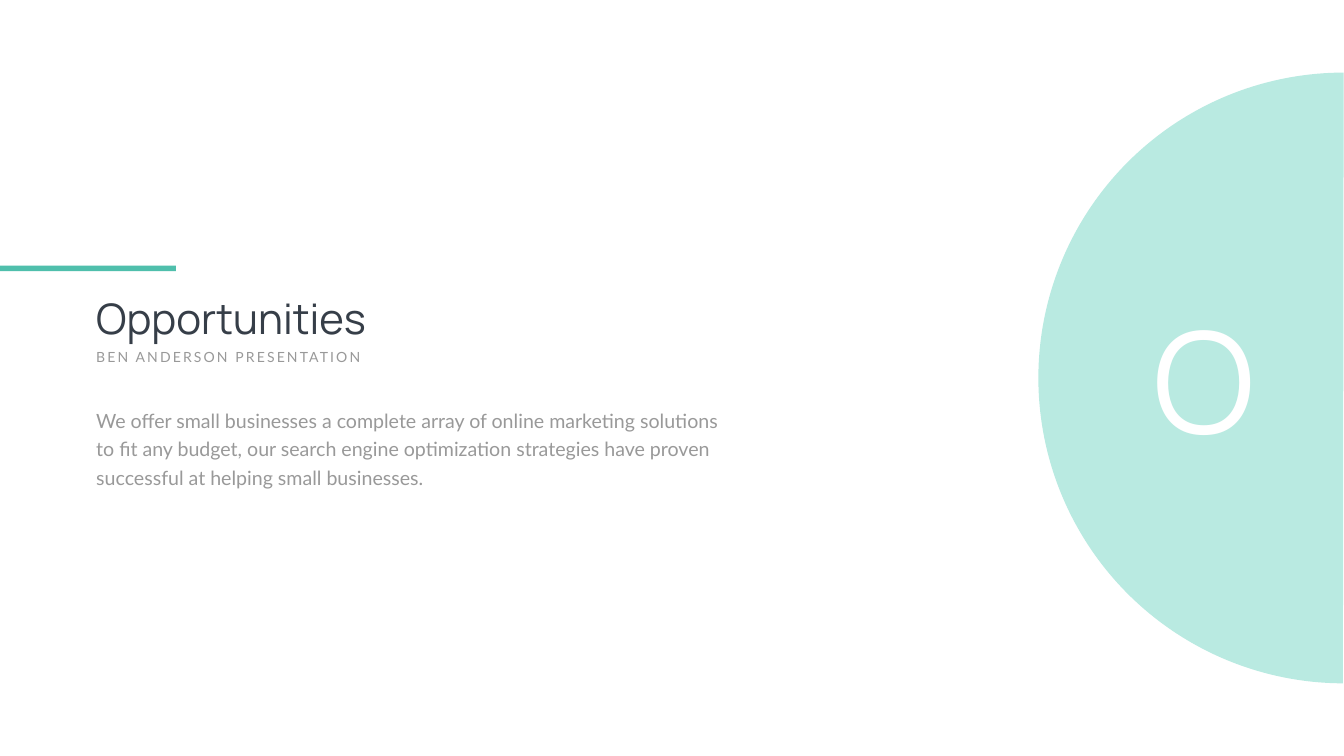
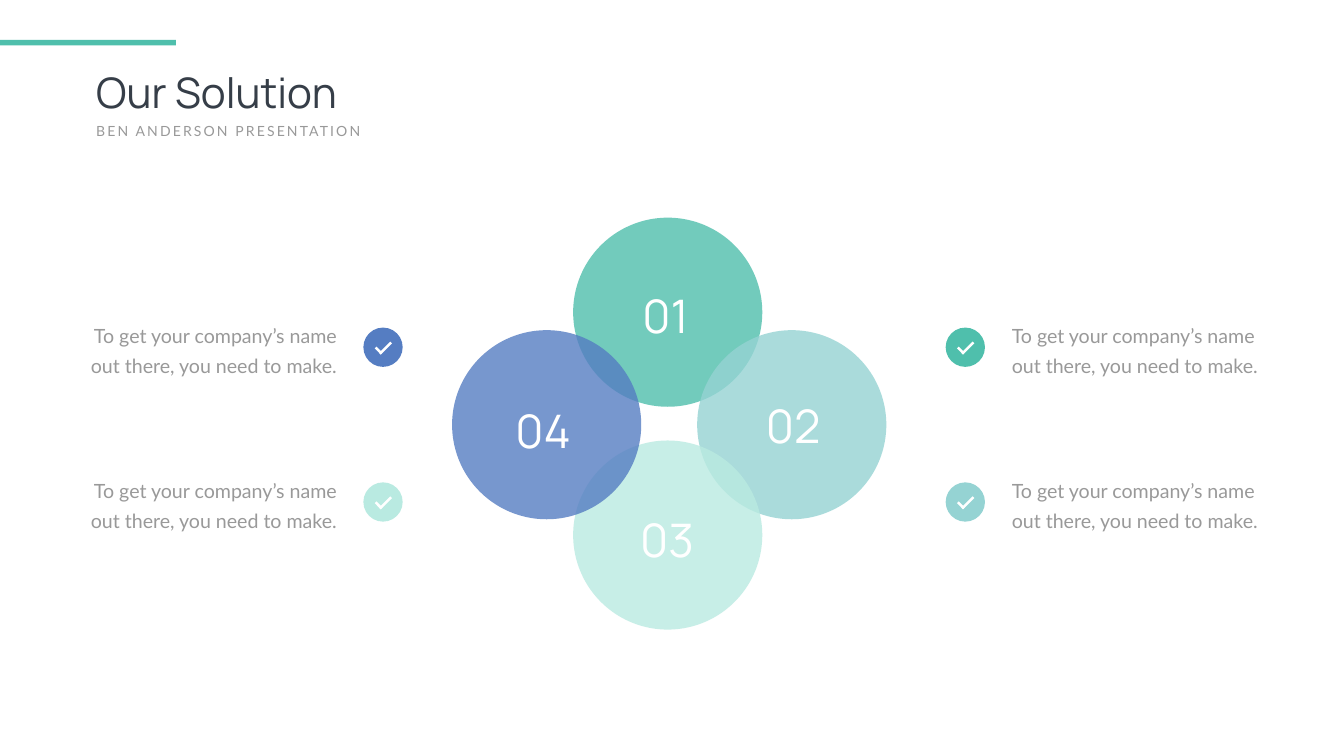
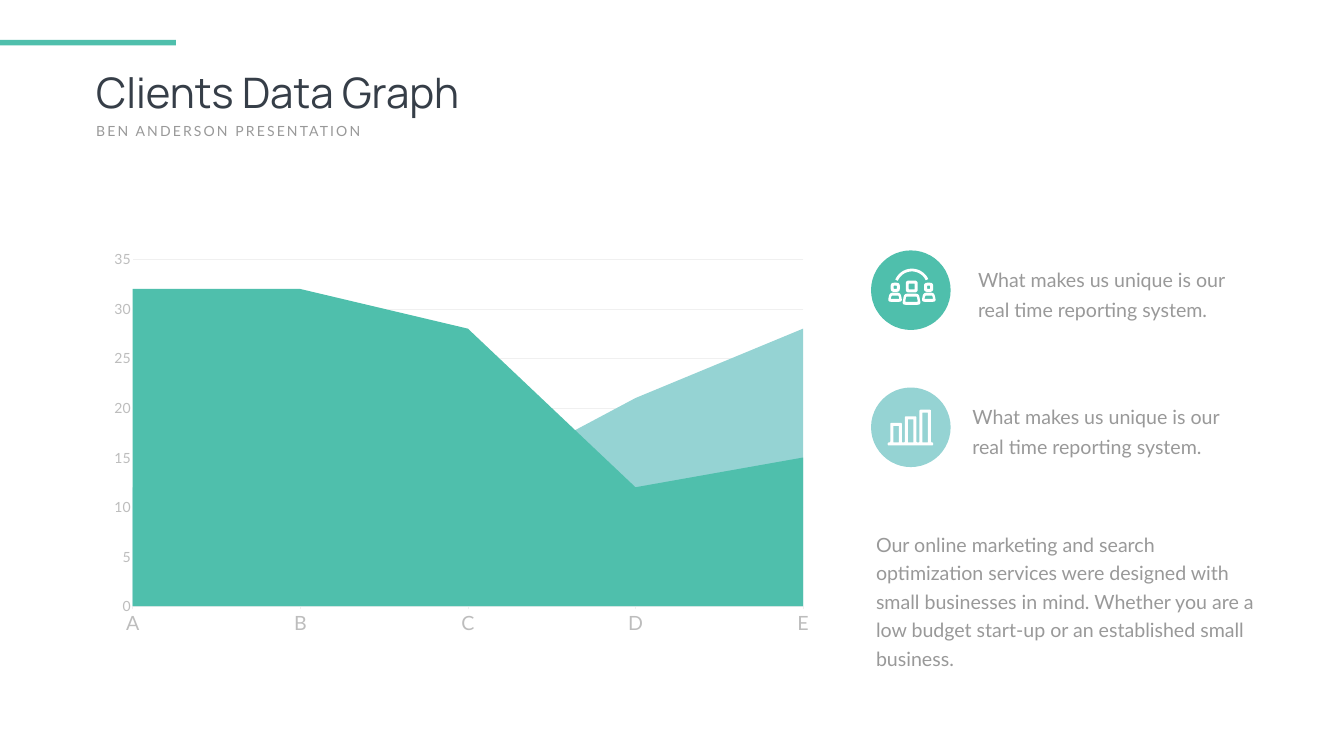
from dataclasses import dataclass
from math import cos, hypot, radians, sin
from lxml.etree import SubElement
from pptx import Presentation
from pptx.chart.data import CategoryChartData
from pptx.dml.color import RGBColor
from pptx.enum.chart import XL_CHART_TYPE, XL_TICK_MARK
from pptx.enum.shapes import MSO_SHAPE
from pptx.enum.text import MSO_AUTO_SIZE, PP_ALIGN
from pptx.oxml import parse_xml
from pptx.oxml.ns import nsdecls, qn
from pptx.util import Cm, Pt


@dataclass(frozen=True)
class Theme:
    green: str = "4FBFAC"
    teal: str = "95D3D3"
    mint: str = "B9EAE1"
    blue: str = "557DC2"
    white: str = "FFFFFF"
    dark: str = "363E48"
    gray: str = "999999"
    pale: str = "BDBDBD"
    grid: str = "F0F0F0"
    head: str = "Manrope"
    body: str = "Lato"
    giant: int = 200
    number: int = 66
    title: int = 60
    text: int = 28
    small: int = 20
    loose: float = 43
    tight: float = 40.8


T = Theme()
MAKE = "To get your company’s name out there, you need to make."
UNIQUE = "What makes us unique is our real time reporting system."


def rgb(code):
    return RGBColor.from_string(code)


def style(font, size, color, face):
    font.size, font.name = Pt(size), face
    font.color.rgb = rgb(color)


def paint(shape, color, alpha=None):
    shape.shadow.inherit = False
    shape.fill.solid()
    shape.fill.fore_color.rgb = rgb(color)
    shape.line.fill.background()
    if alpha:
        tone = shape.fill._xPr.find(".//" + qn("a:srgbClr"))
        SubElement(tone, qn("a:alpha")).set("val", str(alpha * 1000))
    return shape


def solid(slide, kind, box, color, alpha=None):
    return paint(slide.shapes.add_shape(kind, *map(Cm, box)), color, alpha)


def write(slide, box, words, size, color=T.gray, face=T.body,
          align=PP_ALIGN.LEFT, lead=None, track=None, pad=None):
    frame = slide.shapes.add_textbox(*map(Cm, box)).text_frame
    frame.word_wrap = True
    frame.auto_size = MSO_AUTO_SIZE.SHAPE_TO_FIT_TEXT
    if pad:
        frame.margin_left = frame.margin_right = Cm(pad[0])
        frame.margin_top = frame.margin_bottom = Cm(pad[1])
    para = frame.paragraphs[0]
    run = para.add_run()
    run.text = words
    para.alignment = align
    if lead:
        para.line_spacing = Pt(lead)
    style(para.font, size, color, face)
    if track:
        run._r.get_or_add_rPr().set("spc", str(track * 100))


def note(slide, box, words, align=PP_ALIGN.LEFT):
    write(slide, box, words, T.text, align=align, lead=T.loose, pad=(0.61, 0.3))


def header(slide, top, title, width):
    solid(slide, MSO_SHAPE.RECTANGLE, (0, top, 8.86, 0.28), T.green)
    write(slide, (4.6, top + 1.24, width, 2.82), title, T.title, T.dark, T.head)
    write(slide, (4.6, top + 4.06, 14.86, 1.12), "BEN ANDERSON PRESENTATION",
          T.small, track=3)


def smooth(points, bend):
    if not bend:
        return points
    out = []
    for i, (x, y) in enumerate(points):
        ends = []
        for px, py in (points[i - 1], points[(i + 1) % len(points)]):
            part = min(0.5, bend / hypot(px - x, py - y))
            ends.append((x + (px - x) * part, y + (py - y) * part))
        (ax, ay), (bx, by) = ends
        for step in range(5):
            t = step / 4
            a, b, c = (1 - t) ** 2, 2 * t * (1 - t), t * t
            out.append((a * ax + b * x + c * bx, a * ay + b * y + c * by))
    return out


def outline(slide, left, top, loops):
    build = None
    for loop in loops:
        spots = [(Cm(left + x), Cm(top + y)) for x, y in loop]
        if build is None:
            build = slide.shapes.build_freeform(*spots[0])
        else:
            build.move_to(*spots[0])
        build.add_line_segments(spots[1:], close=True)
    paint(build.convert_to_shape(), T.white)


def frame(x, y, w, h, slant=0, edge=0.15):
    def quad(x, y, w, h, s):
        return [(x + s, y), (x + w - s, y), (x + w, y + h), (x, y + h)]
    inner = quad(x + edge, y + edge, w - 2 * edge, h - 2 * edge, slant / 2)
    return [smooth(quad(x, y, w, h, slant), 0.16), smooth(inner, 0.03)]


def people(slide, left, top):
    for x, y, side in ((1.75, 1.52, 0.6), (0.99, 1.63, 0.46), (2.67, 1.63, 0.46)):
        outline(slide, left, top, frame(x, y, side, side))
    for x, y, w, h in ((1.57, 2.18, 0.94, 0.56), (0.84, 2.13, 0.74, 0.46),
                       (2.54, 2.13, 0.74, 0.46)):
        outline(slide, left, top, frame(x, y, w, h, 0.1))
    turns = [radians(a) for a in range(203, 338, 4)]
    arc = [(2.06 + r * cos(a), 1.83 + r * sin(a))
           for r, row in ((0.91, turns), (0.77, turns[::-1])) for a in row]
    outline(slide, left, top, [arc])


def bars(slide, left, top):
    base, wide, edge = 2.77, 0.58, 0.15
    rim, holes = [(0.84, base + edge), (0.84, base)], []
    for i in range(3):
        x, y = 0.97 + 0.735 * i, 1.78 - 0.33 * i
        rim += [(x, base), (x, y), (x + wide, y), (x + wide, base)]
        a, b, c = x + edge, x + wide - edge, y + edge
        holes.append([(a, c), (b, c), (b, base), (a, base)])
    rim += [(3.13, base), (3.13, base + edge)]
    outline(slide, left, top, [smooth(rim, 0.06)] + holes)


def check(slide, left, top, color):
    solid(slide, MSO_SHAPE.OVAL, (left, top, 1.98, 1.98), color)
    for x, y, wide, turn in ((0.55, 1.09, 0.43, 45), (0.71, 0.97, 0.81, 315)):
        bar = solid(slide, MSO_SHAPE.RECTANGLE,
                    (left + x, top + y, wide, 0.13), T.white)
        bar.rotation = turn


def petals(slide, left, top):
    size = 9.53
    spots = (("01", 6.1, 0, T.green, 2.13, 3.41),
             ("02", 12.35, 5.67, T.teal, 2.31, 3.25),
             ("03", 6.1, 11.23, T.mint, 2.21, 3.43),
             ("04", 0, 5.67, T.blue, 2.06, 3.5))
    for _, x, y, color, _, _ in spots:
        solid(slide, MSO_SHAPE.OVAL, (left + x, top + y, size, size), color, 80)
    for label, x, y, _, dx, dy in spots:
        write(slide, (left + x + dx, top + y + dy, 5.05, 3.07), label,
              T.number, T.white, T.head, PP_ALIGN.CENTER)


def graph(slide, box):
    data = CategoryChartData()
    data.categories = list("ABCDE")
    data.add_series("Series 1", (32, 32, 28, 12, 15))
    data.add_series("Series 2", (12, 12, 12, 21, 28))
    chart = slide.shapes.add_chart(XL_CHART_TYPE.AREA, *map(Cm, box), data).chart
    chart.has_legend = chart.has_title = False
    style(chart.font, T.text, T.gray, T.body)
    plot = chart.plots[0]
    plot.vary_by_categories = False
    for series, color in zip(plot.series, (T.green, T.teal)):
        series.format.fill.solid()
        series.format.fill.fore_color.rgb = rgb(color)
        series.format.line.fill.background()
    cat, val = chart.category_axis, chart.value_axis
    for axis, size in ((cat, T.text), (val, T.small)):
        style(axis.tick_labels.font, size, T.pale, T.body)
        axis.minor_tick_mark = XL_TICK_MARK.NONE
    cat.has_major_gridlines = False
    cat.major_tick_mark = XL_TICK_MARK.OUTSIDE
    val.major_tick_mark = XL_TICK_MARK.NONE
    val.has_major_gridlines = True
    val.minimum_scale, val.maximum_scale, val.major_unit = 0, 35, 5
    for line in (cat.format.line, val.major_gridlines.format.line):
        line.color.rgb = rgb(T.grid)
        line.width = Pt(0.75)
    val.format.line.fill.background()
    area = chart._chartSpace.find(".//" + qn("c:plotArea"))
    for old in area.findall(qn("c:layout")):
        area.remove(old)
    rules = (("layoutTarget", "inner"), ("xMode", "edge"), ("yMode", "edge"),
             ("x", 0.045), ("y", 0.042), ("w", 0.928), ("h", 0.867))
    marks = "".join(f'<c:{k} val="{v}"/>' for k, v in rules)
    area.insert(0, parse_xml(f'<c:layout {nsdecls("c")}><c:manualLayout>'
                             f'{marks}</c:manualLayout></c:layout>'))


def chance(slide):
    disc = solid(slide, MSO_SHAPE.CHORD, (52.32, 3.66, 30.78, 30.78), T.mint)
    disc.adjustments[0], disc.adjustments[1] = 27.1, 134.98
    disc.rotation = 45
    write(slide, (56.08, 14.66, 9.22, 8.81), "O", T.giant, T.white, T.head,
          PP_ALIGN.CENTER)
    header(slide, 13.39, "Opportunities", 24.79)
    write(slide, (4.6, 20.22, 32.28, 4.5),
          "We offer small businesses a complete array of online marketing "
          "solutions to fit any budget, our search engine optimization "
          "strategies have proven successful at helping small businesses.",
          T.text, lead=T.tight)


def answer(slide):
    header(slide, 2.01, "Our Solution", 24.66)
    petals(slide, 22.78, 10.97)
    sides = ((50.37, 47.65, PP_ALIGN.LEFT, (T.green, T.teal)),
             (3.81, 18.31, PP_ALIGN.RIGHT, (T.blue, T.mint)))
    for left, dot, align, colors in sides:
        for top, color in zip((16.51, 24.31), colors):
            note(slide, (left, top - 0.81, 13.77, 3.53), MAKE, align)
            check(slide, dot, top, color)


def clients(slide):
    header(slide, 2.01, "Clients Data Graph", 27.43)
    graph(slide, (5.05, 12.22, 36.4, 20.17))
    left, size = 43.89, 4.01
    for top, color, gap, wide, icon in ((12.62, T.green, 4.78, 13.97, people),
                                        (19.53, T.teal, 4.5, 14.07, bars)):
        solid(slide, MSO_SHAPE.OVAL, (left, top, size, size), color)
        note(slide, (left + gap, top + 0.23, wide, 3.53), UNIQUE)
        icon(slide, left, top)
    write(slide, (left, 26.47, 19.96, 5.94),
          "Our online marketing and search optimization services were designed "
          "with small businesses in mind. Whether you are a low budget start-up "
          "or an established small business.", T.text, lead=T.tight)


def main():
    deck = Presentation()
    deck.slide_width, deck.slide_height = Cm(67.72), Cm(38.1)
    for fill in (chance, answer, clients):
        fill(deck.slides.add_slide(deck.slide_layouts[6]))
    deck.save("out.pptx")


if __name__ == "__main__":
    main()
